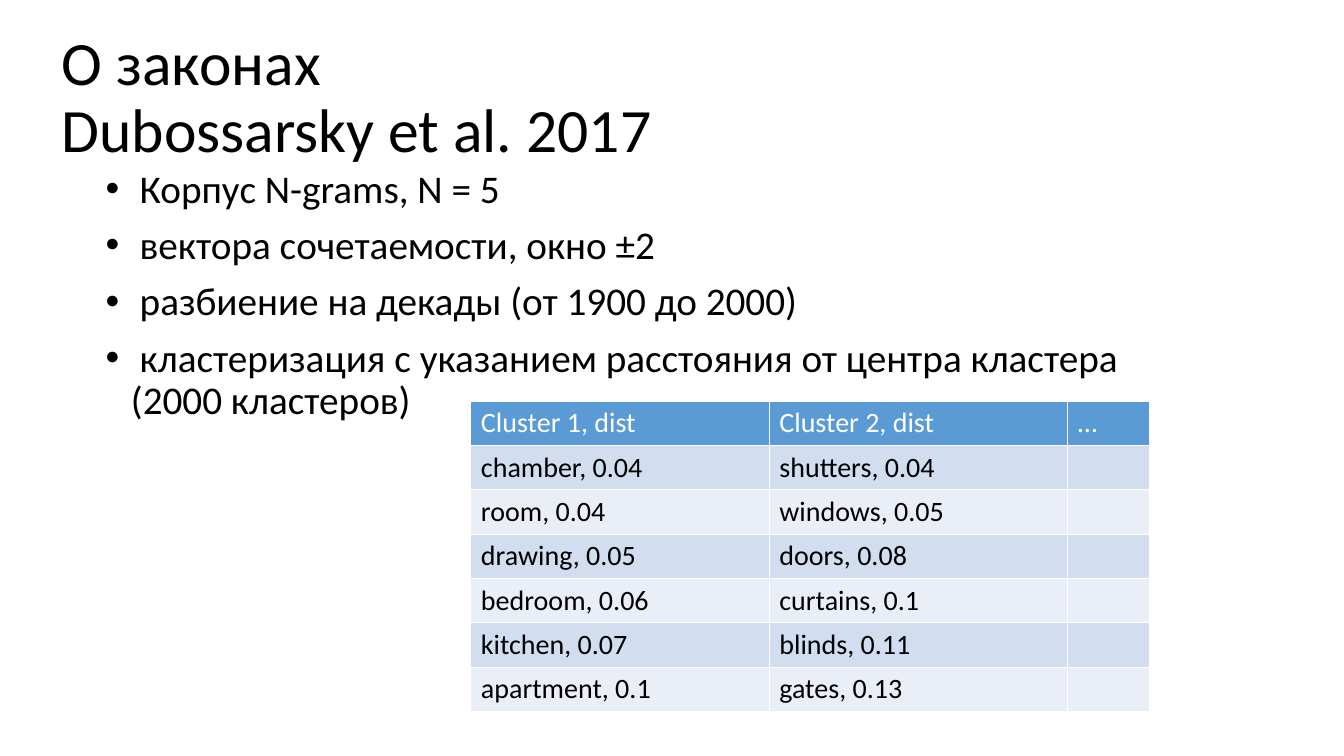
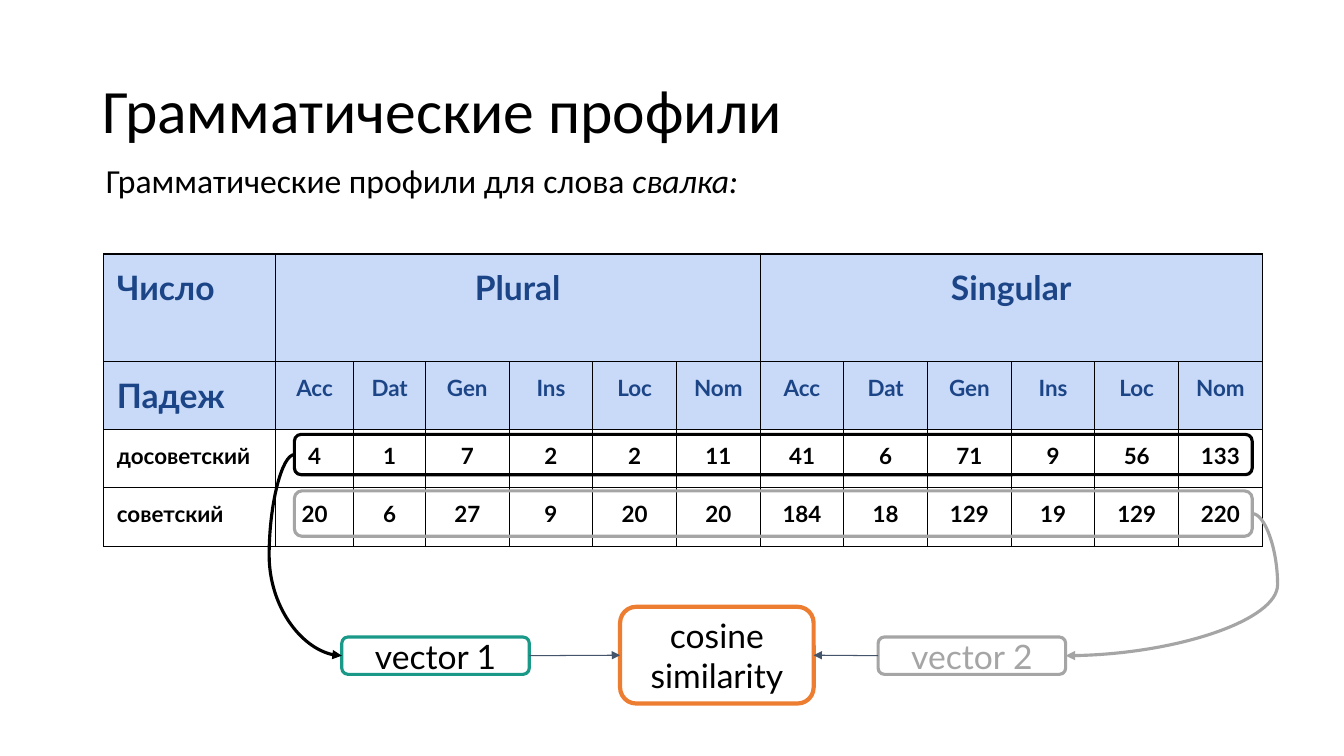
from pptx import Presentation
from pptx import util as u
from pptx.dml.color import RGBColor
from pptx.enum import shapes, text
from pptx.oxml import parse_xml
from pptx.oxml.ns import nsdecls, qn
from lxml import etree

In = u.Inches
INK = {"black": "000000", "white": "FFFFFF", "head": "5B9BD5",
       "odd": "D2DEEF", "even": "EAEFF7", "pale": "C9DAF8",
       "navy": "1C4587", "gray": "A5A5A5", "teal": "1A9988",
       "orange": "ED7D31", "slate": "44546A"}
PAD = 0.13
LEFT, MID = text.PP_ALIGN.LEFT, text.PP_ALIGN.CENTER


def rgb(ink):
    return RGBColor.from_string(INK[ink])


def style(par, size, face="Calibri", ink="black", bold=False, align=LEFT):
    par.alignment = align
    for run in par.runs:
        font = run.font
        font.size, font.name, font.bold = u.Pt(size), face, bold
        font.color.rgb = rgb(ink)


def inset(item, gap=PAD):
    item.margin_left = item.margin_right = In(gap)
    item.margin_top = item.margin_bottom = In(gap)


def box(x, y, w, h):
    return In(x), In(y), In(w), In(h)


def start(deck, words, x, y, w, h):
    slide = deck.slides.add_slide(deck.slide_layouts[5])
    title = slide.shapes.title
    title.left, title.top, title.width, title.height = box(x, y, w, h)
    frame = title.text_frame
    frame.text = words
    frame.word_wrap = True
    frame.auto_size = text.MSO_AUTO_SIZE.NONE
    frame.vertical_anchor = text.MSO_ANCHOR.MIDDLE
    par = frame.paragraphs[0]
    par.line_spacing = 0.9
    style(par, 44)
    return slide


def bullets(slide, items, x, y, w, h):
    frame = slide.shapes.add_textbox(*box(x, y, w, h)).text_frame
    frame.word_wrap = True
    frame.text = "\n".join(items)
    for i, par in enumerate(frame.paragraphs):
        props = par._p.get_or_add_pPr()
        props.set("marL", str(In(0.25)))
        props.set("indent", str(-In(0.25)))
        etree.SubElement(props, qn("a:buFont")).set("typeface", "Arial")
        etree.SubElement(props, qn("a:buChar")).set("char", "•")
        par.line_spacing = 0.9
        if i:
            par.space_before = u.Pt(10)
        style(par, 28)


def border(cell, ink, width):
    props = cell._tc.get_or_add_tcPr()
    for side in ("lnL", "lnR", "lnT", "lnB"):
        props.append(parse_xml(
            f'<a:{side} {nsdecls("a")} w="{u.Pt(width)}"><a:solidFill>'
            f'<a:srgbClr val="{INK[ink]}"/></a:solidFill></a:{side}>'))


def paint(cell, ink):
    if ink:
        cell.fill.solid()
        cell.fill.fore_color.rgb = rgb(ink)
    else:
        cell.fill.background()


def grid(slide, x, y, cols, rows, edge):
    size = box(x, y, sum(cols), sum(rows))
    table = slide.shapes.add_table(len(rows), len(cols), *size).table
    table.first_row = table.horz_banding = False
    for col, width in zip(table.columns, cols):
        col.width = In(width)
    for row, height in zip(table.rows, rows):
        row.height = In(height)
    for cell in table.iter_cells():
        border(cell, edge, 1)
    return table


def clusters(slide, data, x, y):
    table = grid(slide, x, y, [2.96, 2.96, 0.81], [0.44] * len(data), "white")
    for r, line in enumerate(data):
        fill = ("odd" if r % 2 else "even") if r else "head"
        for c, words in enumerate(line):
            cell = table.cell(r, c)
            paint(cell, fill)
            cell.text = words
            style(cell.text_frame.paragraphs[0], 20,
                  ink="black" if r else "white")


def profile(slide, data, x, y):
    cols = [1.7, 0.78, 0.71] + [0.83] * 10
    table = grid(slide, x, y, cols, [1.07, 0.67, 0.58, 0.58], "black")
    for c in (1, 7):
        table.cell(0, c).merge(table.cell(0, c + 5))
    for r, line in enumerate(data):
        for c, words in enumerate(line):
            cell = table.cell(r, c)
            inset(cell)
            paint(cell, "pale" if r < 2 else None)
            if not words:
                continue
            cell.text = str(words)
            big = r == 0 or (r == 1 and c == 0)
            style(cell.text_frame.paragraphs[0], 24 if big else 16, "Lato",
                  "navy" if r < 2 else "black", True, MID if c else LEFT)


def frame(slide, x, y, w, h, line, words="", ink="black", width=2.25):
    shape = slide.shapes.add_shape(
        shapes.MSO_SHAPE.ROUNDED_RECTANGLE, *box(x, y, w, h))
    shape.shadow.inherit = False
    shape.fill.background()
    shape.line.color.rgb = rgb(line)
    shape.line.width = u.Pt(width)
    if words:
        body = shape.text_frame
        inset(body)
        body.word_wrap = True
        body.vertical_anchor = text.MSO_ANCHOR.MIDDLE
        body.text = words
        style(body.paragraphs[0], 24, "Lato", ink, align=MID)
    return shape


def link(slide, kind, ends, ink, width):
    line = slide.shapes.add_connector(kind, *ends)
    line.line.color.rgb = rgb(ink)
    line.line.width = u.Pt(width)
    etree.SubElement(line.line._get_or_add_ln(),
                     qn("a:tailEnd")).set("type", "triangle")
    etree.SubElement(line._element.spPr, qn("a:effectLst"))
    return line


def side(shape, right):
    x = shape.left + (shape.width if right else 0)
    return x, shape.top + shape.height // 2


def curve(slide, a, b, right, ink, bend):
    ends = side(a, right) + side(b, right)
    line = link(slide, shapes.MSO_CONNECTOR.CURVE, ends, ink, 2.25)
    geom = line._element.spPr.find(qn("a:prstGeom"))
    guide = etree.SubElement(geom.get_or_add_avLst(), qn("a:gd"))
    guide.set("name", "adj1")
    guide.set("fmla", f"val {bend}")


def arrow(slide, a, b, right):
    ends = side(a, right) + side(b, not right)
    line = link(slide, shapes.MSO_CONNECTOR.STRAIGHT, ends, "slate", 0.75)
    line.begin_connect(a, 3 if right else 1)
    line.end_connect(b, 1 if right else 3)


def scheme(slide, x, y):
    old = frame(slide, x, y, 9.5, 0.4, "black")
    new = frame(slide, x, y + 0.56, 9.5, 0.45, "gray")
    one = frame(slide, x + 0.47, y + 2.01, 1.86, 0.37, "teal", "vector 1")
    two = frame(slide, x + 5.79, y + 2.01, 1.86, 0.37, "gray", "vector 2",
                "gray")
    curve(slide, old, one, False, "black", -53300)
    curve(slide, new, two, True, "gray", -13600)
    goal = frame(slide, x + 3.23, y + 1.71, 1.92, 0.96, "orange",
                 "cosine similarity", width=3)
    arrow(slide, one, goal, True)
    arrow(slide, two, goal, False)


def caption(slide, words, term, x, y, w, h):
    body = slide.shapes.add_textbox(*box(x, y, w, h)).text_frame
    inset(body)
    body.word_wrap = True
    body.text = words
    par = body.paragraphs[0]
    run = par.add_run()
    run.text = term
    run.font.italic = True
    style(par, 24)


def laws(deck):
    slide = start(deck, "О законах\vDubossarsky et al. 2017",
                  0.51, 0.26, 12.63, 1.45)
    bullets(slide, [
        " Корпус N-grams, N = 5",
        " вектора сочетаемости, окно ±2",
        " разбиение на декады (от 1900 до 2000)",
        " кластеризация с указанием расстояния от центра кластера "
        "(2000 кластеров)"], 0.95, 1.63, 11, 4.98)
    clusters(slide, [
        ("Cluster 1, dist", "Cluster 2, dist", "…"),
        ("chamber, 0.04", "shutters, 0.04", ""),
        ("room, 0.04", "windows, 0.05", ""),
        ("drawing, 0.05", "doors, 0.08", ""),
        ("bedroom, 0.06", "curtains, 0.1", ""),
        ("kitchen, 0.07", "blinds, 0.11", ""),
        ("apartment, 0.1", "gates, 0.13", "")], 4.67, 3.98)


def cases(deck):
    slide = start(deck, "Грамматические профили", 0.92, 0.4, 11.5, 1.45)
    caption(slide, "Грамматические профили для слова ", "свалка:",
            0.92, 1.46, 10.72, 4.62)
    gap = [""] * 5
    names = ["Acc", "Dat", "Gen", "Ins", "Loc", "Nom"]
    profile(slide, [
        ["Число", "Plural", *gap, "Singular", *gap],
        ["Падеж", *names, *names],
        ["досоветский", 4, 1, 7, 2, 2, 11, 41, 6, 71, 9, 56, 133],
        ["советский", 20, 6, 27, 9, 20, 20, 184, 18, 129, 19, 129, 220]],
        1.03, 2.52)
    scheme(slide, 2.92, 4.31)


def main():
    deck = Presentation()
    deck.slide_width, deck.slide_height = In(13.33), In(7.5)
    laws(deck)
    cases(deck)
    deck.save("out.pptx")


if __name__ == "__main__":
    main()
